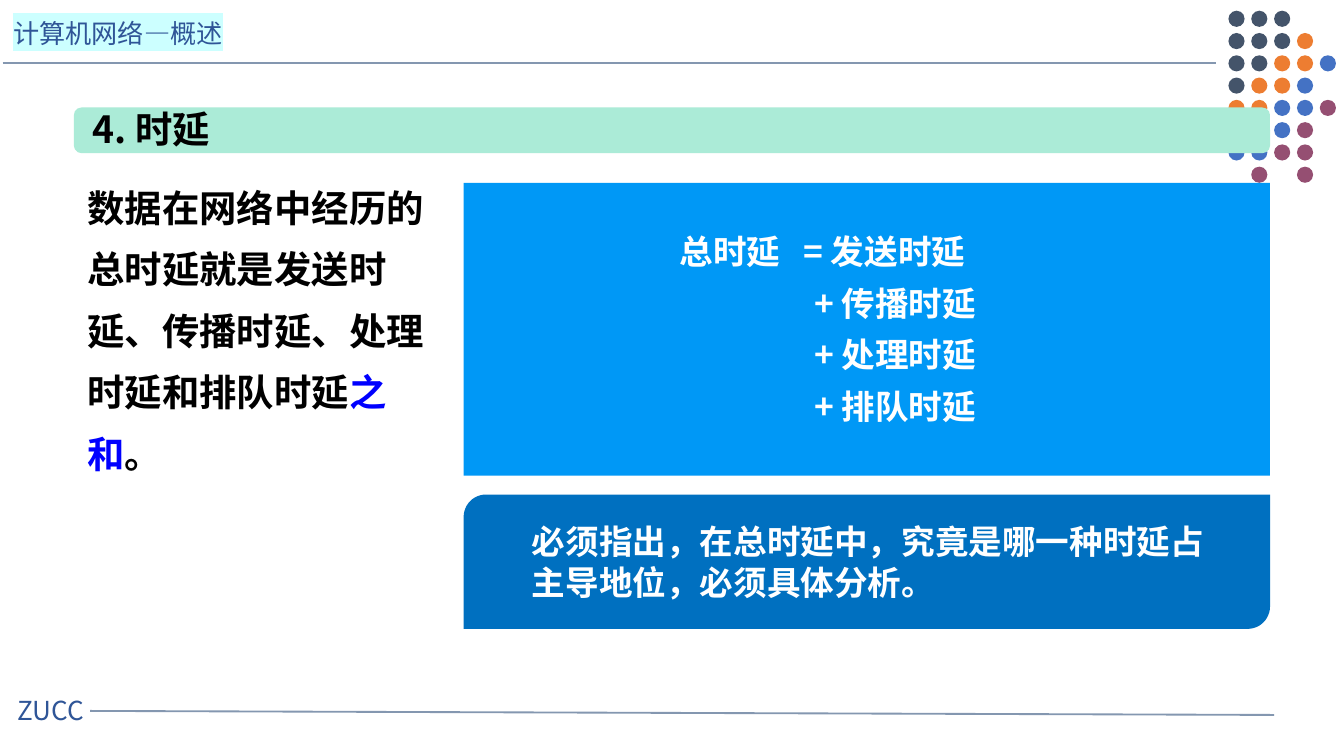
from lxml import etree
from pptx import Presentation
from pptx.dml.color import RGBColor
from pptx.enum.shapes import MSO_CONNECTOR, MSO_SHAPE
from pptx.enum.text import MSO_ANCHOR, MSO_AUTO_SIZE, PP_ALIGN
from pptx.oxml.ns import qn
from pptx.util import Inches, Pt

LINE = MSO_CONNECTOR.STRAIGHT
ELLIPSE = MSO_SHAPE.OVAL
RECTANGLE = MSO_SHAPE.RECTANGLE
ROUNDED = MSO_SHAPE.ROUNDED_RECTANGLE
DIAGONAL = MSO_SHAPE.ROUND_2_DIAG_RECTANGLE
TOP = MSO_ANCHOR.TOP
LEFT = PP_ALIGN.LEFT
NO_FIT = MSO_AUTO_SIZE.NONE

BLACK = RGBColor(0x00, 0x00, 0x00)
WHITE = RGBColor(0xFF, 0xFF, 0xFF)
BLUE = RGBColor(0x00, 0x00, 0xFF)
HEADER_BLUE = RGBColor(0x2F, 0x55, 0x97)
RULE_GREY = RGBColor(0x84, 0x97, 0xB0)
PALE_CYAN = RGBColor(0xCC, 0xFF, 0xFF)
BANNER_GREEN = RGBColor(0xAB, 0xEB, 0xD7)
FORMULA_BLUE = RGBColor(0x00, 0x98, 0xF6)
NOTE_BLUE = RGBColor(0x00, 0x70, 0xC0)
DOT_COLORS = {
    "S": RGBColor(0x44, 0x54, 0x6A),
    "O": RGBColor(0xED, 0x7D, 0x31),
    "B": RGBColor(0x44, 0x72, 0xC4),
    "P": RGBColor(0x95, 0x4F, 0x72),
}
DOT_ROWS = ["SSS", "SSSO", "SSOOB", "SOOB", "OOBBP", "..BP", "BBPP", ".P.P"]
FONT = "Noto Sans CJK SC"


def add_span(para, text, size=18, color=WHITE, bold=True, highlight=None):
    """Add one formatted run of text to a paragraph."""
    span = para.add_run()
    span.text = text
    font = span.font
    font.size = Pt(size)
    font.bold = bold
    font.color.rgb = color
    font.name = FONT
    properties = span._r.get_or_add_rPr()
    etree.SubElement(properties, qn("a:ea"), typeface=FONT)
    if highlight is not None:
        mark = etree.Element(qn("a:highlight"))
        etree.SubElement(mark, qn("a:srgbClr"), val=str(highlight))
        properties.find(qn("a:solidFill")).addnext(mark)


class SlideBuilder:
    """Hold the slide style and the current page."""

    def __init__(self, deck):
        """Start a page with a title and a body placeholder."""
        self.page = deck.slides.add_slide(deck.slide_layouts[1])
        self.shapes = self.page.shapes

    def line(self, start, end):
        """Draw a thin rule between two points."""
        rule = self.shapes.add_connector(LINE, *map(Inches, start + end))
        rule.line.color.rgb = RULE_GREY
        rule.line.width = Pt(1)
        etree.SubElement(rule._element.spPr, qn("a:effectLst"))

    def shape(self, kind, place, fill):
        """Draw a plain filled shape."""
        shape = self.shapes.add_shape(kind, *map(Inches, place))
        shape.shadow.inherit = False
        shape.fill.solid()
        shape.fill.fore_color.rgb = fill
        shape.line.fill.background()
        return shape

    def dots(self):
        """Draw the coloured dot grid in the corner."""
        for row, codes in enumerate(DOT_ROWS):
            for column, code in enumerate(codes):
                if code in DOT_COLORS:
                    place = (9.14 + 0.17 * column, 0.08 + 1.16 / 7 * row, 0.12, 0.12)
                    self.shape(ELLIPSE, place, DOT_COLORS[code])

    def prepare(self, box, place, wrap=True):
        """Place a text holder, bring it to the front and return its frame."""
        box.left, box.top, box.width, box.height = map(Inches, place)
        box.element.getparent().append(box.element)
        frame = box.text_frame
        frame.word_wrap = wrap
        frame.auto_size = NO_FIT
        frame.vertical_anchor = TOP
        frame.paragraphs[0].alignment = LEFT
        return frame

    def text(self, place, text, **style):
        """Add a text box with one paragraph."""
        box = self.shapes.add_textbox(*map(Inches, place))
        frame = self.prepare(box, place)
        add_span(frame.paragraphs[0], text, **style)

    def formula(self, place, rows):
        """Add a text box of rows, each with its own tab stop."""
        box = self.shapes.add_textbox(*map(Inches, place))
        frame = self.prepare(box, place)
        for index, (text, stop) in enumerate(rows):
            para = frame.add_paragraph() if index else frame.paragraphs[0]
            tabs = etree.SubElement(para._p.get_or_add_pPr(), qn("a:tabLst"))
            etree.SubElement(tabs, qn("a:tab"), pos=str(Inches(stop)), algn="l")
            if index:
                para.space_before = Pt(6)
            add_span(para, text)

    def title(self, place, text):
        """Fill the title placeholder."""
        frame = self.prepare(self.shapes.title, place, wrap=False)
        add_span(frame.paragraphs[0], text, size=20, color=BLACK)

    def body(self, place, spans):
        """Fill the body placeholder with one unbulleted paragraph."""
        para = self.prepare(self.page.placeholders[1], place).paragraphs[0]
        properties = para._p.get_or_add_pPr()
        for name in ("marL", "indent", "hangingPunct"):
            properties.set(name, "0")
        etree.SubElement(properties, qn("a:buNone"))
        para.line_spacing = Pt(33)
        para.space_before = Pt(0)
        for text, color in spans:
            add_span(para, text, size=20, color=color)


def main():
    """Build and save the slide."""
    deck = Presentation()
    deck.slide_width, deck.slide_height = Inches(10), Inches(10 * 9 / 16)
    slide = SlideBuilder(deck)

    slide.line((0.02, 0.47), (9.05, 0.47))
    slide.line((0.67, 5.29), (9.48, 5.32))
    header = {"size": 14, "color": HEADER_BLUE, "bold": False}
    slide.text((0.03, 5.12, 0.89, 0.34), "ZUCC", **header)
    slide.text((0, 0.08, 2.16, 0.34), "计算机网络—概述", highlight=PALE_CYAN, **header)
    slide.dots()

    slide.body((0.55, 1.2, 2.9, 1.95), [
        ("数据在网络中经历的总时延就是发送时延、传播时延、处理时延和排队时延", BLACK),
        ("之和", BLUE),
        ("。", BLACK),
    ])

    slide.shape(RECTANGLE, (3.45, 1.36, 6, 2.18), FORMULA_BLUE)
    parts = ["传播时延", "处理时延", "排队时延"]
    rows = [("总时延\t= 发送时延", 0.92)] + [(f"\t+ {part}", 1) for part in parts]
    slide.formula((4.96, 1.67, 3, 1.56), rows)

    slide.shape(DIAGONAL, (3.45, 3.68, 6, 1), NOTE_BLUE)
    slide.text((3.86, 3.83, 5.4, 0.71),
               "必须指出，在总时延中，究竟是哪一种时延占主导地位，必须具体分析。")

    slide.shape(ROUNDED, (0.55, 0.8, 8.9, 0.34), BANNER_GREEN)
    slide.title((0.59, 0.74, 1.19, 0.44), "4. 时延")
    deck.save("out.pptx")


if __name__ == "__main__":
    main()
